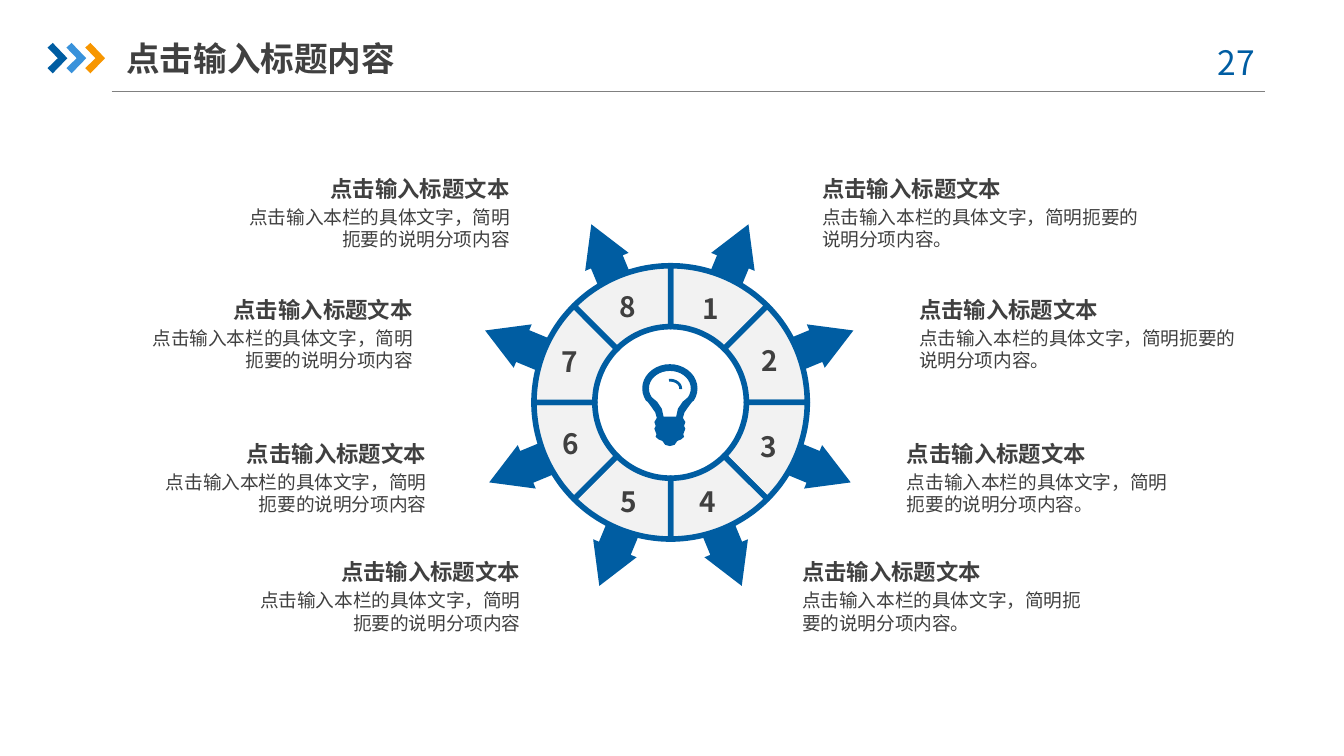
from dataclasses import dataclass
from math import cos, radians, sin

from lxml.etree import SubElement
from pptx import Presentation
from pptx.dml.color import RGBColor
from pptx.enum.shapes import MSO_CONNECTOR
from pptx.enum.text import MSO_ANCHOR, PP_ALIGN
from pptx.oxml.ns import qn
from pptx.util import Pt

FONT = "Noto Sans CJK SC"
COLORS = {"blue": "005DA2", "sky": "3992DB", "gold": "F79600",
          "pale": "F2F2F2", "dark": "404040", "gray": "808080"}
HEAD = {"size": Pt(12), "bold": True}
BODY = {"size": Pt(10), "bold": False}
DIGIT = {"size": Pt(15), "bold": True}
TITLE = {"size": Pt(18), "bold": True}
PAGE = {"size": Pt(18), "bold": False}

HUB = (359.3, 215.6)
OUTER, INNER = 73.2, 40.6
STEP = 45

Point = tuple[float, float]


@dataclass
class Box:
    left: float
    top: float
    width: float
    height: float


@dataclass
class Line:
    text: str
    style: dict
    color: str = "dark"
    pitch: float | None = None
    before: float = 0


@dataclass
class Spoke:
    tip: Point
    digit: Point
    note: Point
    width: float
    right: bool


# Clockwise from the top
SPOKES = [
    Spoke((401, 120.2), (366.5, 157), (433.4, 89.3), 187.2, True),
    Spoke((457.2, 177.1), (398.2, 185), (485.3, 154.1), 192.2, True),
    Spoke((455.8, 258.5), (397.4, 231.1), (478.8, 231.1), 158.4, True),
    Spoke((397.4, 313.9), (365, 260.6), (422.6, 294.5), 171.4, True),
    Spoke((321.1, 313.9), (322.6, 260.6), (126.7, 294.5), 159.1, False),
    Spoke((262.1, 258.5), (291.6, 229.7), (79.9, 231.1), 155.5, False),
    Spoke((259.9, 177.1), (290.9, 185.8), (72.7, 154.1), 155.5, False),
    Spoke((316.8, 120.2), (321.8, 156.2), (124.6, 89.3), 155.5, False),
]


def rgb(name: str) -> RGBColor:
    return RGBColor.from_string(COLORS[name])


def arc(mid: Point, wide: float, tall: float, start: float, end: float) -> list[Point]:
    """Points on an ellipse, from one angle to another."""
    count = 24
    turns = [radians(start + (end - start) * i / count) for i in range(count + 1)]
    return [(mid[0] + wide * cos(t), mid[1] + tall * sin(t)) for t in turns]


def draw(slide, rings: list[list[Point]], fill: str, edge: str | None = None) -> None:
    paths = [[(Pt(x), Pt(y)) for x, y in ring] for ring in rings]
    pen = slide.shapes.build_freeform(*paths[0][0], scale=1.0)
    pen.add_line_segments(paths[0][1:], close=True)
    for path in paths[1:]:
        pen.move_to(*path[0])
        pen.add_line_segments(path[1:], close=True)
    shape = pen.convert_to_shape()
    shape.shadow.inherit = False
    shape.fill.solid()
    shape.fill.fore_color.rgb = rgb(fill)
    if edge:
        shape.line.color.rgb = rgb(edge)
        shape.line.width = Pt(3)
    else:
        shape.line.fill.background()


def write(slide, box: Box, lines: list[Line], align: PP_ALIGN,
          anchor: MSO_ANCHOR = MSO_ANCHOR.MIDDLE, inset: float = 7.2) -> None:
    shape = slide.shapes.add_textbox(Pt(box.left), Pt(box.top), Pt(box.width), Pt(box.height))
    frame = shape.text_frame
    form = {"word_wrap": True, "vertical_anchor": anchor,
            "margin_left": Pt(inset), "margin_right": Pt(inset)}
    for key, value in form.items():
        setattr(frame, key, value)
    for i, line in enumerate(lines):
        para = frame.add_paragraph() if i else frame.paragraphs[0]
        para.alignment = align
        if line.before:
            para.space_before = Pt(line.before)
        if line.pitch:
            para.line_spacing = Pt(line.pitch)
        run = para.add_run()
        run.text = line.text
        for key, value in line.style.items():
            setattr(run.font, key, value)
        run.font.color.rgb = rgb(line.color)
        run.font.name = FONT
        SubElement(run.font._element, qn("a:ea"), typeface=FONT)


def arrow(slide, tip: Point, angle: float) -> None:
    side = [(-64, 9.2), (-21.8, 9.2), (-21.8, 12.6)]
    local = side + [(0, 0)] + [(a, -b) for a, b in reversed(side)]
    c, s = cos(radians(angle)), sin(radians(angle))
    draw(slide, [[(tip[0] + a * c - b * s, tip[1] + a * s + b * c) for a, b in local]], "blue")


def wedge(slide, start: float) -> None:
    end = start + STEP
    ring = arc(HUB, OUTER, OUTER, start, end) + arc(HUB, INNER, INNER, end, start)
    draw(slide, [ring], "pale", "blue")


def bulb(slide) -> None:
    mid = (358.9, 208.1)
    screw = [(11.9, 215.3), (9.7, 218.2), (7.8, 221), (7, 223.9), (8.3, 226.1),
             (7.6, 228.2), (8.3, 229.7), (7.2, 232.6), (7.6, 234), (6.1, 235.4),
             (4, 236.2), (2.5, 238.3), (0, 239)]
    neck = [(6.8, 215.3), (4.3, 219), (3.4, 223.2)]

    def whole(wide: float, tall: float, half: list[Point]) -> list[Point]:
        right = [(mid[0] + x, y) for x, y in half]
        left = [(mid[0] - x, y) for x, y in reversed(half)]
        return arc(mid, wide, tall, -210, 30) + right + left

    draw(slide, [whole(14.8, 13, screw), whole(11.2, 9.4, neck)], "blue")
    # Glint inside the glass
    draw(slide, [arc(mid, 6.5, 5.1, -95, 5) + arc(mid, 5, 3.6, 5, -95)], "blue")


def header(slide) -> None:
    rule = slide.shapes.add_connector(MSO_CONNECTOR.STRAIGHT, Pt(59.8), Pt(49.2), Pt(677.5), Pt(49.2))
    rule.line.color.rgb = rgb("gray")
    rule.line.width = Pt(0.75)
    SubElement(rule._element.spPr, qn("a:effectLst"))
    mark = [(25.5, 25.5), (28.3, 23), (36.1, 31.2), (28.3, 39.3), (25.5, 36.5), (31, 31.2)]
    for i, color in enumerate(("blue", "sky", "gold")):
        draw(slide, [[(x + 10.1 * i, y) for x, y in mark]], color)
    write(slide, Box(637.9, 18.7, 52.6, 28.8), [Line("27 ", PAGE, "blue")],
          PP_ALIGN.CENTER, MSO_ANCHOR.TOP)


def main() -> None:
    deck = Presentation()
    deck.slide_width, deck.slide_height = Pt(720), Pt(405)
    slide = deck.slides.add_slide(deck.slide_layouts[6])
    header(slide)

    # Wheel
    for i, spoke in enumerate(SPOKES):
        start = STEP * i - 90
        arrow(slide, spoke.tip, start + STEP / 2)
        wedge(slide, start)
    bulb(slide)

    # Notes and numbers
    for i, spoke in enumerate(SPOKES, 1):
        stop = "。" if spoke.right else ""
        note = [Line("点击输入标题文本", HEAD, pitch=14.4),
                Line("点击输入本栏的具体文字，简明扼要的说明分项内容" + stop, BODY, pitch=12, before=2)]
        align = PP_ALIGN.LEFT if spoke.right else PP_ALIGN.RIGHT
        write(slide, Box(*spoke.note, spoke.width, 49.7), note, align)
        write(slide, Box(*spoke.digit, 28.8, 15.8), [Line(str(i), DIGIT)], PP_ALIGN.CENTER)

    write(slide, Box(67.7, 15.8, 167.8, 30.2), [Line("点击输入标题内容", TITLE)],
          PP_ALIGN.LEFT, inset=0)
    deck.save("out.pptx")


if __name__ == "__main__":
    main()
